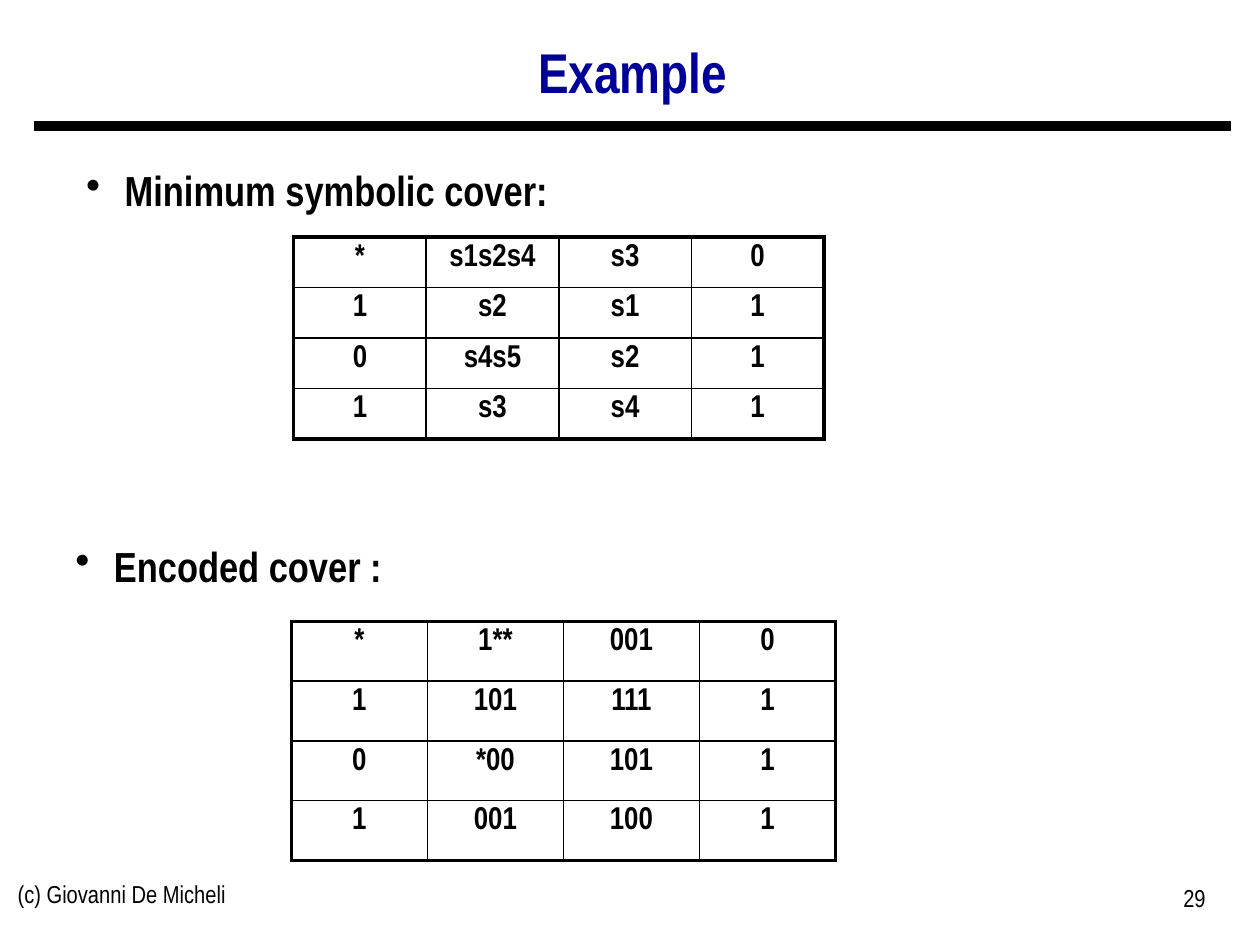
from dataclasses import dataclass

from lxml import etree
from pptx import Presentation
from pptx.dml.color import RGBColor
from pptx.enum import text
from pptx.oxml import ns
from pptx.util import Pt


@dataclass(frozen=True)
class Theme:
    face: str = "Arial Narrow"
    ink: RGBColor = RGBColor(0, 0, 0)
    blue: RGBColor = RGBColor(0, 0, 0x99)
    head: float = 32
    point: float = 24
    cell: float = 18
    foot: float = 14
    rule: float = 6
    edge: float = 2.25
    grid: float = 1
    hang: float = 22


THEME = Theme()
ALIGN = text.PP_ALIGN


def style(para, size, bold=False, color=THEME.ink, align=ALIGN.LEFT):
    para.alignment = align
    font = para.font
    font.name, font.size, font.bold = THEME.face, Pt(size), bold
    font.color.rgb = color


def place(shape, box):
    shape.left, shape.top, shape.width, shape.height = map(Pt, box)


def add_title(slide, box, words):
    title = slide.shapes.title
    place(title, box)
    frame = title.text_frame
    frame.text = words
    frame.auto_size = text.MSO_AUTO_SIZE.NONE
    frame.vertical_anchor = text.MSO_ANCHOR.MIDDLE
    para = frame.paragraphs[0]
    para.line_spacing = 0.9
    style(para, THEME.head, True, THEME.blue, ALIGN.CENTER)


def add_rule(slide, left, right, y):
    line = slide.shapes.add_connector(1, Pt(left), Pt(y), Pt(right), Pt(y))
    line.line.color.rgb = THEME.ink
    line.line.width = Pt(THEME.rule)
    etree.SubElement(line._element.spPr, ns.qn("a:effectLst"))


def add_text(slide, box, words):
    frame = slide.shapes.add_textbox(*map(Pt, box)).text_frame
    frame.word_wrap = True
    frame.text = words
    return frame.paragraphs[0]


def add_point(slide, box, words, align=ALIGN.LEFT):
    para = add_text(slide, box, words)
    props = para._p.get_or_add_pPr()
    props.set("marL", str(Pt(THEME.hang)))
    props.set("indent", str(-Pt(THEME.hang)))
    etree.SubElement(props, ns.qn("a:buChar"), char="•")
    style(para, THEME.point, True, align=align)


def add_foot(slide, box, words, align=ALIGN.LEFT):
    style(add_text(slide, box, words), THEME.foot, align=align)


def add_border(cell, side, width):
    props = cell._tc.get_or_add_tcPr()
    line = etree.SubElement(props, ns.qn(f"a:ln{side}"), w=str(Pt(width)))
    fill = etree.SubElement(line, ns.qn("a:solidFill"))
    etree.SubElement(fill, ns.qn("a:srgbClr"), val=str(THEME.ink))


def add_cover(slide, box, rows):
    high, wide = len(rows), len(rows[0])
    table = slide.shapes.add_table(high, wide, *map(Pt, box)).table
    table.first_row = table.horz_banding = False
    for col in table.columns:
        col.width = Pt(box[2] / wide)
    for row in table.rows:
        row.height = Pt(box[3] / high)
    for r, row in enumerate(rows):
        for c, words in enumerate(row):
            cell = table.cell(r, c)
            outer = {"L": c == 0, "R": c == wide - 1,
                     "T": r == 0, "B": r == high - 1}
            for side, edge in outer.items():
                add_border(cell, side, THEME.edge if edge else THEME.grid)
            cell.fill.background()
            cell.text = words
            style(cell.text_frame.paragraphs[0], THEME.cell, True,
                  align=ALIGN.CENTER)


def main():
    deck = Presentation()
    deck.slide_width, deck.slide_height = Pt(720), Pt(540)
    slide = deck.slides.add_slide(deck.slide_layouts[5])
    add_rule(slide, 19.5, 703.5, 72)
    add_title(slide, (19, 16, 685, 54), "Example")
    add_point(slide, (28.8, 90.7, 304.6, 36), "Minimum symbolic cover:",
              ALIGN.CENTER)
    add_cover(slide, (167.8, 135.4, 303, 115.6), [
        ("*", "s1s2s4", "s3", "0"),
        ("1", "s2", "s1", "1"),
        ("0", "s4s5", "s2", "1"),
        ("1", "s3", "s4", "1"),
    ])
    add_point(slide, (36, 305.3, 476.6, 36), "Encoded cover :")
    add_cover(slide, (166.5, 355, 311, 136.8), [
        ("*", "1**", "001", "0"),
        ("1", "101", "111", "1"),
        ("0", "*00", "101", "1"),
        ("1", "001", "100", "1"),
    ])
    add_foot(slide, (3, 499, 228, 37.5), "(c) Giovanni De Micheli")
    add_foot(slide, (528, 501, 168, 37.5), "29", ALIGN.RIGHT)
    deck.save("out.pptx")


if __name__ == "__main__":
    main()
